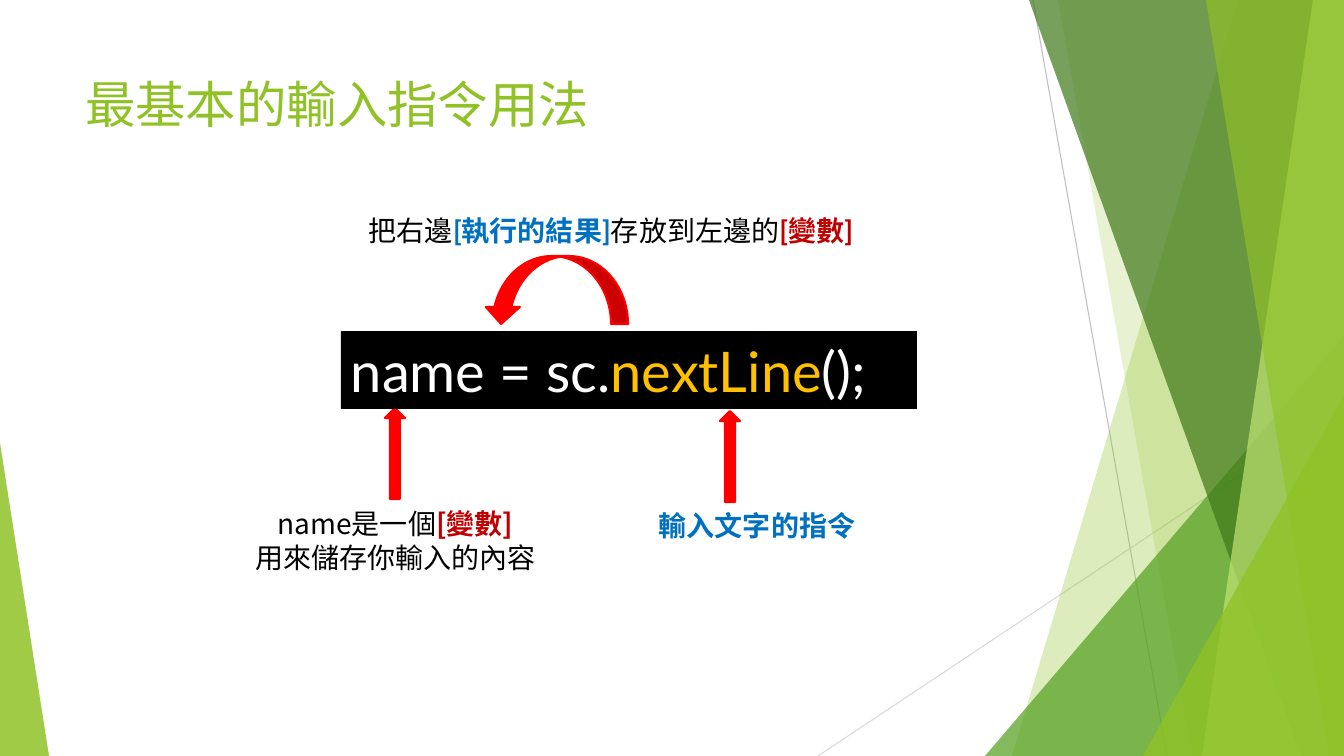
"""Build a slide that explains the basic input statement."""
from lxml import etree
from pptx import Presentation
from pptx.dml.color import RGBColor
from pptx.enum.shapes import MSO_CONNECTOR, MSO_SHAPE
from pptx.enum.text import MSO_ANCHOR, PP_ALIGN
from pptx.oxml.ns import qn
from pptx.util import Pt

PX = 914400 / 100.8
WIDTH, HEIGHT = 1344, 756
LATO, NOTO = "Lato", "Noto Sans CJK SC"
LEFT, CENTER = PP_ALIGN.LEFT, PP_ALIGN.CENTER
TOP, MIDDLE = MSO_ANCHOR.TOP, MSO_ANCHOR.MIDDLE
STRAIGHT = MSO_CONNECTOR.STRAIGHT
TRIANGLE, RECTANGLE = MSO_SHAPE.ISOSCELES_TRIANGLE, MSO_SHAPE.RECTANGLE
UP_ARROW, CURVED_ARROW = MSO_SHAPE.UP_ARROW, MSO_SHAPE.CURVED_UP_ARROW

LIME = RGBColor(0x90, 0xC2, 0x26)
PALE_LIME = RGBColor(0xC0, 0xE4, 0x74)
GREEN = RGBColor(0x54, 0xA0, 0x21)
DARK_GREEN = RGBColor(0x3F, 0x78, 0x19)
GRAY = RGBColor(0xBF, 0xBF, 0xBF)
LIGHT_GRAY = RGBColor(0xD9, 0xD9, 0xD9)
RED = RGBColor(0xFF, 0x00, 0x00)
DARK_RED = RGBColor(0xC0, 0x00, 0x00)
BLUE = RGBColor(0x00, 0x70, 0xC0)
AMBER = RGBColor(0xFF, 0xC0, 0x00)
BLACK = RGBColor(0x00, 0x00, 0x00)
WHITE = RGBColor(0xFF, 0xFF, 0xFF)


def px(*lengths):
    """Turn pixel lengths into EMU."""
    return [round(length * PX) for length in lengths]


def paint(shape, color, opacity=100):
    """Fill a shape without outline or shadow."""
    shape.shadow.inherit = False
    shape.fill.solid()
    shape.fill.fore_color.rgb = color
    shape.line.fill.background()
    if opacity < 100:
        tint = shape._element.spPr.find(".//" + qn("a:srgbClr"))
        etree.SubElement(tint, qn("a:alpha"), val=str(opacity * 1000))


def add_ray(slide, ends, color):
    """Draw a thin backdrop line."""
    ray = slide.shapes.add_connector(STRAIGHT, *px(*ends))
    ray.line.color.rgb = color
    ray.line.width = Pt(0.75)
    etree.SubElement(ray._element.spPr, qn("a:effectLst"))


def add_band(slide, top_x, bottom_x, color, opacity):
    """Draw a translucent band that reaches the right edge."""
    outline = slide.shapes.build_freeform(top_x, 0, scale=PX)
    outline.add_line_segments([(WIDTH, 0), (WIDTH, HEIGHT), (bottom_x, HEIGHT)])
    paint(outline.convert_to_shape(), color, opacity)


def add_corner(slide, left, top, width, apex, color, opacity):
    """Draw a translucent right triangle standing on the bottom edge."""
    corner = slide.shapes.add_shape(TRIANGLE, *px(left, top, width, HEIGHT - top))
    corner.adjustments[0] = apex
    paint(corner, color, opacity)


def add_arrow(slide, kind, area, rotation=0):
    """Draw a red block arrow."""
    arrow = slide.shapes.add_shape(kind, *px(*area))
    paint(arrow, RED)
    arrow.rotation = rotation
    arrow.line.color.rgb = RED
    arrow.line.width = Pt(1.5)


def write(frame, lines, size, font=LATO, align=LEFT, anchor=TOP):
    """Write lines made of (text, color, bold) parts."""
    frame.word_wrap = True
    frame.vertical_anchor = anchor
    for index, parts in enumerate(lines):
        paragraph = frame.add_paragraph() if index else frame.paragraphs[0]
        paragraph.alignment = align
        paragraph.line_spacing = Pt(size * 1.2)
        for text, color, bold in parts:
            run = paragraph.add_run()
            run.text = text
            run.font.name = font
            run.font.size = Pt(size)
            run.font.color.rgb = color
            run.font.bold = bold


def add_label(slide, area, lines, font=LATO, align=LEFT):
    """Add an explanatory label."""
    label = slide.shapes.add_textbox(*px(*area))
    write(label.text_frame, lines, 20, font, align)


def add_backdrop(slide):
    """Draw the green facets and thin rays."""
    add_ray(slide, (1033, 0, 1167, HEIGHT), GRAY)
    add_ray(slide, (WIDTH, 406, 818, HEIGHT), LIGHT_GRAY)
    add_band(slide, 1238, 1012, LIME, 30)
    add_band(slide, 1058, 1192, LIME, 20)
    add_corner(slide, 985, 336, 359, 1, GREEN, 72)
    add_band(slide, 1029, 1301, DARK_GREEN, 70)
    add_band(slide, 1313, 1202, PALE_LIME, 70)
    add_band(slide, 1206, 1329, LIME, 65)
    add_corner(slide, 1143, 396, 201, 1, LIME, 80)
    add_corner(slide, 0, 443, 49, 0, LIME, 85)


def main():
    """Build and save the slide."""
    deck = Presentation()
    deck.slide_width, deck.slide_height = px(WIDTH, HEIGHT)
    slide = deck.slides.add_slide(deck.slide_layouts[5])
    add_backdrop(slide)

    title = slide.shapes.title
    title.left, title.top, title.width, title.height = px(75, 68, 948, 145)
    write(title.text_frame, [[("最基本的輸入指令用法", LIME, False)]], 36)

    add_arrow(slide, UP_ARROW, (385, 408, 20, 91))
    add_label(slide, (244, 502, 303, 78), [
        [("name是一個", BLACK, False), ("[變數]", DARK_RED, True)],
        [("用來儲存你輸入的內容", BLACK, False)],
    ], NOTO, CENTER)

    add_arrow(slide, UP_ARROW, (720, 411, 20, 91))
    add_label(slide, (649, 504, 219, 44), [[("輸入文字的指令", BLUE, True)]])

    add_arrow(slide, CURVED_ARROW, (484, 256, 144, 68), rotation=180)
    add_label(slide, (359, 209, 518, 44), [[
        ("把右邊", BLACK, False), ("[執行的結果]", BLUE, True),
        ("存放到左邊的", BLACK, False), ("[變數]", DARK_RED, True),
    ]])

    statement = slide.shapes.add_shape(RECTANGLE, *px(341, 331, 576, 78))
    paint(statement, BLACK)
    write(statement.text_frame, [[
        ("name = sc.", WHITE, False), ("nextLine", AMBER, False), ("();", WHITE, False),
    ]], 40, anchor=MIDDLE)
    deck.save("out.pptx")


if __name__ == "__main__":
    main()
